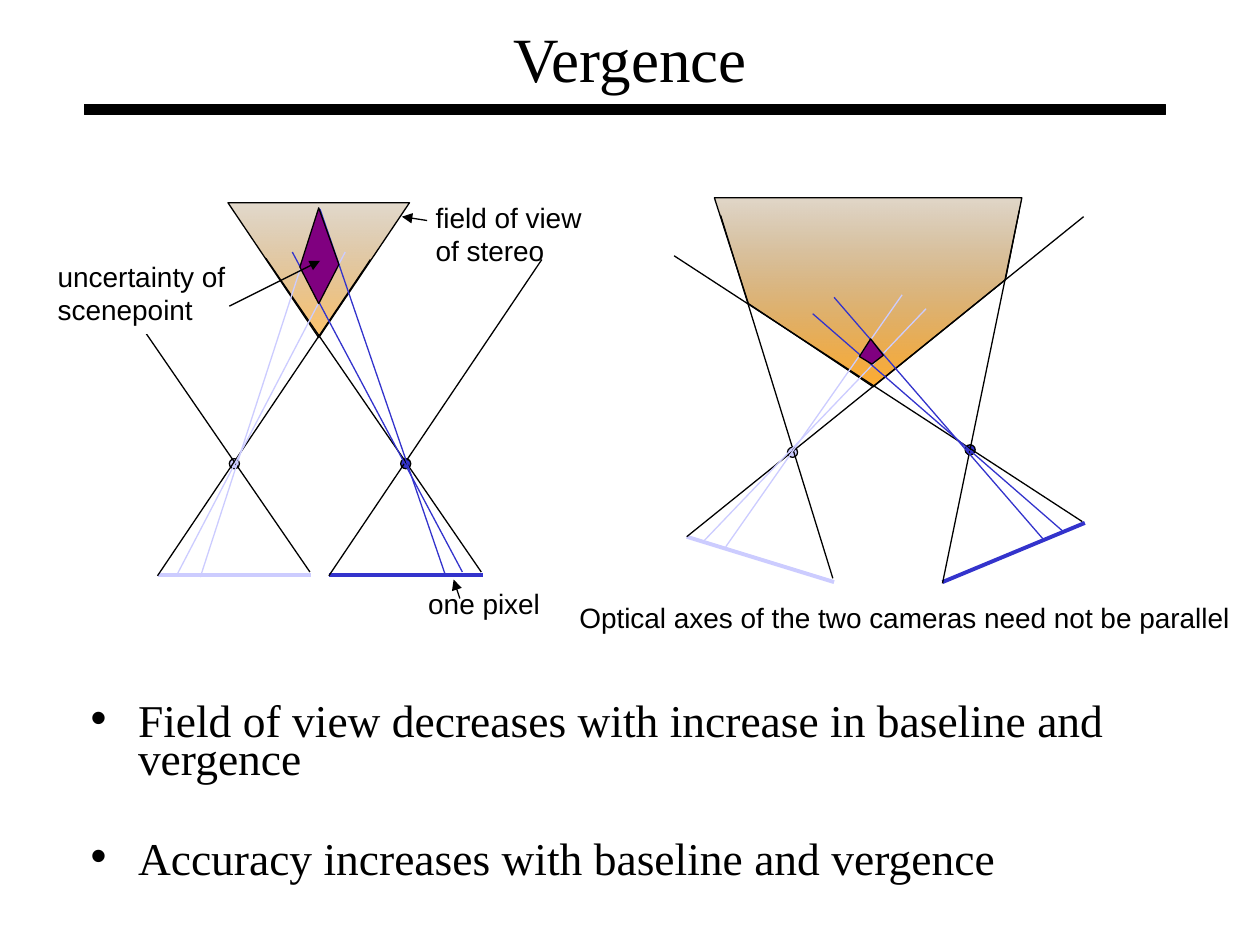
"""Builds the Vergence slide: stereo fields of view for parallel and verged cameras."""
from lxml.etree import SubElement as Sub
from pptx import Presentation
from pptx.dml.color import RGBColor as RGB
from pptx.enum.shapes import MSO_CONNECTOR as CONN, MSO_SHAPE as SHAPE
from pptx.enum.text import MSO_ANCHOR as ANCHOR, MSO_AUTO_SIZE as FIT, PP_ALIGN as ALIGN
from pptx.oxml.ns import qn
from pptx.util import Inches, Pt

C = {"black": "000000", "white": "FFFFFF", "left": "CCCCFF", "right": "3333CC",
     "scene": "800080", "brown": "754600", "orange": "FF9900"}

prs = Presentation()
prs.slide_width, prs.slide_height = Inches(10), Inches(7.5)
col, row = prs.slide_width / 100, prs.slide_height / 75
s = prs.slides.add_slide(prs.slide_layouts[1])


def add_line(x1, y1, x2, y2, color="black", width=0.75, arrow=False):
    c = s.shapes.add_connector(CONN.STRAIGHT, int(x1 * col), int(y1 * row),
                               int(x2 * col), int(y2 * row))
    c.line.color.rgb = RGB.from_string(C[color])
    c.line.width = Pt(width)
    if arrow:
        Sub(c.line._get_or_add_ln(), qn("a:tailEnd"), type="triangle")
    Sub(c._element.spPr, qn("a:effectLst"))


def add_outlined(kind, points, color=None):
    if kind == "polygon":
        (x, y), *rest = [(int(x * col), int(y * row)) for x, y in points]
        fb = s.shapes.build_freeform(x, y)
        fb.add_line_segments(rest, close=True)
        sp = fb.convert_to_shape()
    else:
        x, y, w, h = points
        sp = s.shapes.add_shape(kind, int(x * col), int(y * row), int(w * col), int(h * row))
    sp.shadow.inherit = False
    if color:
        sp.fill.solid()
        sp.fill.fore_color.rgb = RGB.from_string(C[color])
    sp.line.color.rgb = RGB.from_string(C["black"])
    sp.line.width = Pt(0.75)
    return sp


# title and list
title, body = s.shapes.title, s.placeholders[1]
for sp, box, size, anchor, texts in [
    (title, (7.5, -1.7, 85, 12.5), 36, ANCHOR.MIDDLE, ["Vergence"]),
    (body, (6.2, 55.6, 87.5, 16.9), 26, ANCHOR.TOP,
     ["Field of view decreases with increase in baseline and vergence",
      "Accuracy increases with baseline and vergence"]),
]:
    x, y, w, h = box
    sp.left, sp.top, sp.width, sp.height = int(x * col), int(y * row), int(w * col), int(h * row)
    tf = sp.text_frame
    tf.auto_size, tf.vertical_anchor = FIT.NONE, anchor
    for i, text in enumerate(texts):
        p = tf.add_paragraph() if i else tf.paragraphs[0]
        if sp is body:
            p.line_spacing, p.space_before = 0.7, Pt(35 if i else 6.5)
        else:
            p.alignment = ALIGN.CENTER
        r = p.add_run()
        r.text = text
        r.font.name, r.font.size = "Times New Roman", Pt(size)
        r.font.color.rgb = RGB.from_string(C["black"])
add_outlined(SHAPE.RECTANGLE, (6.7, 8.3, 85.8, 0.8), "black")

# shared fields of view
for points, alphas in [
    ([(69.3, 30.7), (59.4, 24.1), (56.7, 15.7), (81.1, 15.7), (79.8, 22.2)], (21, 82)),
    ([(25.3, 26.8), (18.1, 16.1), (32.5, 16.1)], (20, 59)),
]:
    sp = add_outlined("polygon", points)
    sp.fill.gradient()
    sp.fill.gradient_angle = 270
    for stop, color in zip(sp.fill.gradient_stops, ("brown", "orange")):
        stop.color.rgb = RGB.from_string(C[color])
    for clr, alpha in zip(sp._element.spPr.find(qn("a:gradFill")).iter(qn("a:srgbClr")), alphas):
        Sub(clr, qn("a:alpha"), val=str(alpha * 1000))

# pupils, then sensors and view limits
for x, y, color in [(18.2, 36.4, "left"), (31.8, 36.4, "right"),
                    (62.5, 35.5, "left"), (76.6, 35.3, "right")]:
    add_outlined(SHAPE.OVAL, (x, y, 0.8, 0.8), color)
for dx, color in [(0, "left"), (13.6, "right")]:
    add_line(12.5 + dx, 45.6, 24.7 + dx, 45.6, color, 2.25)
    add_line(12.5 + dx, 45.7, 29.4 + dx, 20.6)
    add_line(24.6 + dx, 45.4, 7.5 + dx, 20.5)
add_line(74.8, 46.2, 86.1, 41.5, "right", 2.25)
add_line(54.5, 42.6, 66.2, 46.2, "left", 2.25)
for ends in [(74.8, 46.3, 80.9, 16.7), (85.9, 41.4, 53.5, 20.3),
             (54.5, 42.6, 86, 17.2), (66.1, 45.9, 57.2, 17.1)]:
    add_line(*ends)

# pixel rays
for color, rays in {
    "left": [(14, 45.7, 27.4, 20), (15.9, 45.8, 25.4, 16.5),
             (57.6, 43.4, 71.6, 23.4), (55.8, 43, 73.5, 24.5)],
    "right": [(36.7, 45.4, 23.2, 20), (35.3, 45.5, 25.4, 16.6),
              (84.4, 42.2, 64.5, 24.9), (82.8, 42.8, 66.2, 23.6)],
}.items():
    for ray in rays:
        add_line(*ray, color)

# uncertainty regions
for points in [[(25.3, 24.1), (23.8, 21.2), (25.3, 16.5), (26.9, 21)],
               [(69.2, 28.9), (68.2, 28.3), (69.1, 26.9), (70.1, 28.2)]]:
    add_outlined("polygon", points, "scene")

# labels and their arrows
for x, y, w, h, lines, fill in [
    (33.6, 15.4, 13.6, 6.4, ["field of view", "of stereo"], None),
    (3.6, 20.1, 15.3, 6.4, ["uncertainty of", "scenepoint"], "white"),
    (33, 46.1, 10.9, 3.7, ["one pixel"], None),
    (45, 47.2, 53.6, 3.7, ["Optical axes of the two cameras need not be parallel"], None),
]:
    sp = s.shapes.add_textbox(int(x * col), int(y * row), int(w * col), int(h * row))
    if fill:
        sp.fill.solid()
        sp.fill.fore_color.rgb = RGB.from_string(C[fill])
    tf = sp.text_frame
    tf.word_wrap, tf.auto_size = False, FIT.SHAPE_TO_FIT_TEXT
    for i, text in enumerate(lines):
        p = tf.add_paragraph() if i else tf.paragraphs[0]
        r = p.add_run()
        r.text = text
        r.font.name, r.font.size = "Arial", Pt(16)
        r.font.color.rgb = RGB.from_string(C["black"])
for ends in [(33.9, 17.5, 31.9, 17.2), (36.5, 47.5, 36, 46), (18.2, 24.3, 25.4, 20.7)]:
    add_line(*ends, arrow=True)

prs.save("out.pptx")
